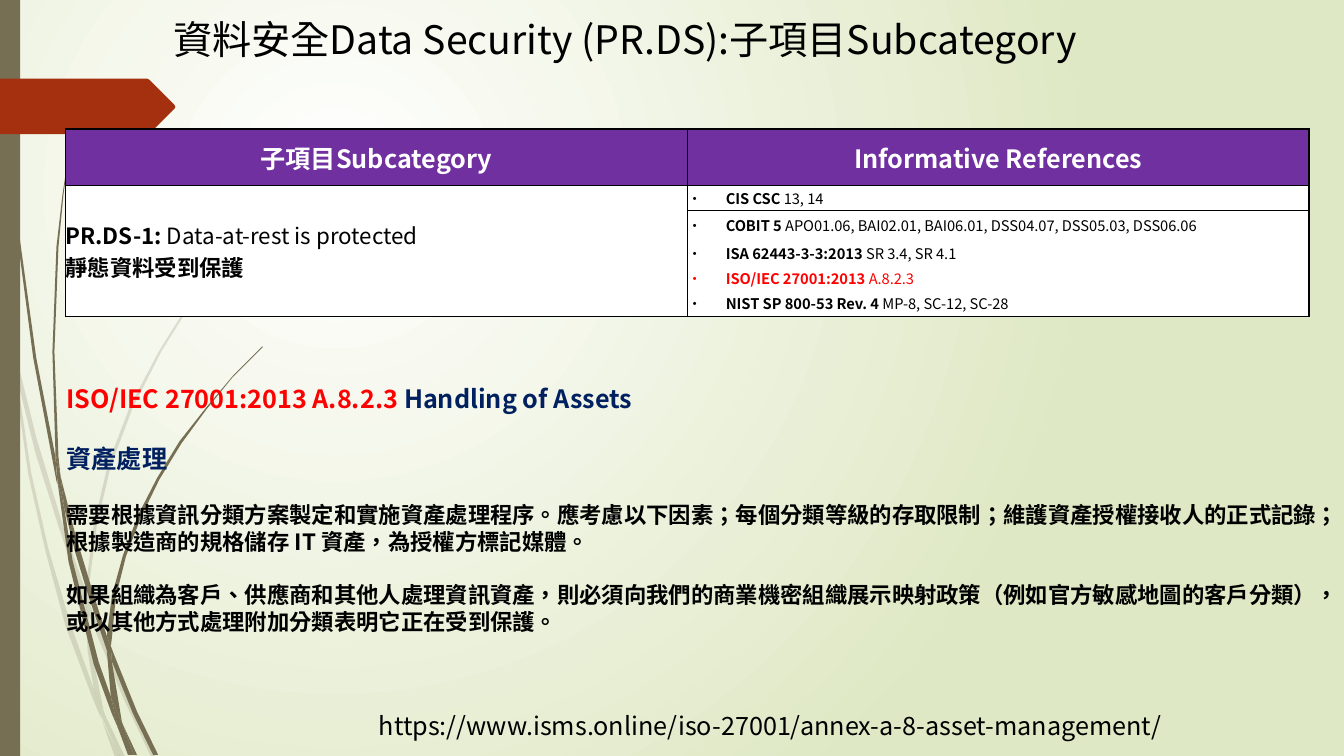
"""Build the Data Security (PR.DS) subcategory slide."""
from lxml.etree import SubElement
from pptx import Presentation
from pptx.dml.color import RGBColor
from pptx.enum.shapes import MSO_SHAPE
from pptx.enum.text import MSO_ANCHOR, MSO_AUTO_SIZE, PP_ALIGN
from pptx.oxml import parse_xml
from pptx.oxml.ns import nsdecls, qn
from pptx.util import Cm, Pt

FONT = "Noto Sans CJK SC"
PLAIN_TABLE_STYLE = "{2D5ABB26-0587-4C30-8999-92F81FD0307C}"
BLACK = RGBColor(0x00, 0x00, 0x00)
WHITE = RGBColor(0xFF, 0xFF, 0xFF)
RED = RGBColor(0xFF, 0x00, 0x00)
NAVY = RGBColor(0x00, 0x20, 0x60)
PURPLE = RGBColor(0x70, 0x30, 0xA0)
RUST = RGBColor(0xA5, 0x30, 0x10)
OLIVE = RGBColor(0x76, 0x6F, 0x54)
PALE_GREEN = RGBColor(0xDF, 0xE8, 0xC4)

OUTLINE_UNIT = Cm(0.0254)
PALE_STALKS = [
    [(11, 350), (9, 322), (0, 282), (0, 299), (10, 344)],
    [(58, 522), (84, 599), (85, 586), (62, 520), (36, 434), (14, 345), (17, 376), (35, 449)],
    [(92, 607), (88, 596), (88, 610), (123, 694), (150, 751), (155, 751), (127, 692)],
    [(119, 751), (124, 751), (105, 711)],
    [(93, 683), (70, 619), (48, 544), (31, 469), (17, 376), (11, 350), (28, 470), (45, 546),
     (65, 621), (92, 693), (101, 714), (99, 707)],
    [(84, 599), (87, 646), (93, 683), (96, 692), (105, 711), (103, 706), (91, 646), (88, 608)],
    [(88, 584), (96, 522), (110, 462), (132, 404), (160, 349), (193, 296), (229, 245), (268, 198),
     (312, 154), (312, 153), (268, 197), (228, 244), (191, 295), (158, 348), (129, 403), (107, 461),
     (93, 521), (85, 584), (85, 586), (88, 596)],
    [(101, 714), (114, 751), (119, 751)],
    [(88, 608), (88, 596), (85, 586), (84, 599)],
    [(96, 692), (93, 683), (99, 707), (119, 751), (105, 711)],
]
DARK_STALKS = [
    [(7, 110), (17, 233), (33, 355), (56, 477), (57, 481), (55, 453), (36, 355), (19, 232),
     (8, 109), (4, 0), (3, 0), (4, 48)],
    [(88, 592), (106, 645), (106, 631), (93, 590), (75, 531), (60, 472), (64, 505), (75, 549)],
    [(113, 649), (110, 641), (111, 656), (132, 708), (152, 749), (157, 749), (136, 706)],
    [(110, 691), (98, 657), (72, 556), (64, 505), (57, 477), (68, 557), (93, 659), (111, 708),
     (117, 722), (116, 717)],
    [(60, 472), (58, 453), (54, 349), (58, 245), (63, 193), (70, 141), (62, 193), (56, 245),
     (52, 349), (55, 449)],
    [(133, 749), (136, 749), (122, 719)],
    [(57, 477), (64, 505), (60, 472), (55, 449), (55, 453)],
    [(111, 633), (115, 592), (125, 552), (140, 513), (158, 476), (180, 440), (205, 406), (231, 374),
     (261, 344), (260, 344), (231, 373), (204, 405), (178, 438), (156, 474), (137, 511), (122, 551),
     (111, 591), (106, 631), (110, 641)],
    [(117, 722), (127, 749), (131, 749)],
    [(106, 645), (110, 691), (116, 706), (122, 719), (121, 716), (111, 656)],
    [(106, 645), (111, 656), (110, 641), (106, 631)],
    [(116, 706), (110, 691), (117, 722), (130, 749), (133, 749), (122, 719)],
]
ARROW = [(0, 78), (146, 78), (148, 79), (173, 104), (174, 106), (173, 108), (148, 133), (0, 133)]

ROW_HEIGHTS = [1.42, 0.64, 0.74, 0.64, 0.64, 0.64]
REFERENCES = [
    ("CIS CSC ", "13, 14", BLACK),
    ("COBIT 5", " APO01.06, BAI02.01, BAI06.01, DSS04.07, DSS05.03, DSS06.06", BLACK),
    ("ISA 62443-3-3:2013", " SR 3.4, SR 4.1", BLACK),
    ("ISO/IEC 27001:2013 ", "A.8.2.3", RED),
    ("NIST SP 800-53 Rev. 4", " MP-8, SC-12, SC-28", BLACK),
]
ASSET_NOTES = [
    (0, [("ISO/IEC 27001:2013 A.8.2.3 ", 18, True, RED), ("Handling of Assets", 18, True, NAVY)]),
    (21.6, [("資產處理", 18, True, NAVY)]),
    (19.2, [("需要根據資訊分類方案製定和實施資產處理程序。應考慮以下因素；每個分類等級的存取限制；"
             "維護資產授權接收人的正式記錄；根據製造商的規格儲存 IT 資產，為授權方標記媒體。",
             16, True, BLACK)]),
    (19.2, [("如果組織為客戶、供應商和其他人處理資訊資產，則必須向我們的商業機密組織展示映射政策"
             "（例如官方敏感地圖的客戶分類），或以其他方式處理附加分類表明它正在受到保護。",
             16, True, BLACK)]),
]


def apply_format(target, values):
    """Set each named attribute on the target."""
    for name, value in values.items():
        setattr(target, name, value)


def add_span(para, text, size, bold, color):
    """Add one formatted run to a paragraph."""
    span = para.add_run()
    span.text = text
    apply_format(span.font, {"size": Pt(size), "bold": bold, "name": FONT})
    span.font.color.rgb = color
    span.font._element.set("lang", "zh-TW")
    SubElement(span.font._element, qn("a:ea")).set("typeface", FONT)


def set_bullet(para, margin=0, indent=0, character=None):
    """Give a paragraph its indents and a bullet, or none."""
    properties = para._p.get_or_add_pPr()
    properties.set("marL", str(Cm(margin)))
    properties.set("indent", str(Cm(indent)))
    if character:
        SubElement(properties, qn("a:buFont")).set("typeface", FONT)
        SubElement(properties, qn("a:buChar")).set("char", character)
    else:
        SubElement(properties, qn("a:buNone"))


def fill_box(box, place, paragraphs):
    """Move a text shape into place and write its paragraphs."""
    apply_format(box, dict(zip(("left", "top", "width", "height"), map(Cm, place))))
    frame = box.text_frame
    apply_format(frame, {"word_wrap": True, "auto_size": MSO_AUTO_SIZE.NONE,
                         "vertical_anchor": MSO_ANCHOR.TOP})
    for index, (gap, spans) in enumerate(paragraphs):
        para = frame.add_paragraph() if index else frame.paragraphs[0]
        set_bullet(para)
        apply_format(para, {"alignment": PP_ALIGN.LEFT, "space_before": Pt(gap)})
        for span in spans:
            add_span(para, *span)


def paint(shape, color, opacity=100):
    """Fill a shape without line or shadow."""
    shape.shadow.inherit = False
    shape.line.fill.background()
    shape.fill.solid()
    shape.fill.fore_color.rgb = color
    if opacity < 100:
        tint = next(shape.element.iter(qn("a:srgbClr")))
        SubElement(tint, qn("a:alpha")).set("val", str(opacity * 1000))


def add_outline(page, points, color, opacity=100):
    """Draw a closed outline given in hundredths of an inch."""
    builder = page.shapes.build_freeform(*points[0], scale=OUTLINE_UNIT)
    builder.add_line_segments(points[1:], close=True)
    paint(builder.convert_to_shape(), color, opacity)


def paint_background(page):
    """Lay a round white to green gradient behind the page."""
    fill = page.background.fill
    fill.gradient()
    for stop, color, position in zip(fill.gradient_stops, (WHITE, PALE_GREEN), (0, 1)):
        stop.color.rgb = color
        stop.position = position
    linear = next(page.background._cSld.iter(qn("a:lin")))
    linear.getparent().replace(linear, parse_xml(
        f'<a:path {nsdecls("a")} path="circle"><a:fillToRect l="50000" t="50000" '
        'r="100000" b="100000"/></a:path>'))


def add_decoration(page):
    """Draw the grass stalks, the side bar and the arrow."""
    for stalks, opacity in ((PALE_STALKS, 20), (DARK_STALKS, 100)):
        for points in stalks:
            add_outline(page, points, OLIVE, opacity)
    paint(page.shapes.add_shape(MSO_SHAPE.RECTANGLE, 0, 0, Cm(0.51), Cm(19.05)), OLIVE)
    add_outline(page, ARROW, RUST)


def format_cell(cell, color, sides, margin=0):
    """Set the fill, margins and black borders of a table cell."""
    apply_format(cell, {"vertical_anchor": MSO_ANCHOR.MIDDLE, "margin_left": Cm(margin),
                        "margin_right": Cm(margin), "margin_top": Cm(margin), "margin_bottom": 0})
    cell.fill.solid()
    cell.fill.fore_color.rgb = color
    for index, side in enumerate(sides):
        cell._tc.get_or_add_tcPr().insert(index, parse_xml(
            f'<a:ln{side} {nsdecls("a")} w="12700"><a:solidFill><a:srgbClr '
            f'val="{BLACK}"/></a:solidFill></a:ln{side}>'))


def add_reference_table(page):
    """Add the table of the subcategory and its references."""
    last = len(REFERENCES)
    table = page.shapes.add_table(last + 1, 2, Cm(1.65), Cm(3.25), Cm(31.34), Cm(4.72)).table
    next(table._tbl.iter(qn("a:tableStyleId"))).text = PLAIN_TABLE_STYLE
    for row, height in zip(table.rows, ROW_HEIGHTS):
        row.height = Cm(height)
    for column, heading in enumerate(("子項目Subcategory", "Informative References")):
        para = table.cell(0, column).text_frame.paragraphs[0]
        para.alignment = PP_ALIGN.CENTER
        add_span(para, heading, 18, True, WHITE)
        format_cell(table.cell(0, column), PURPLE, "LRTB", 0.03)
    for row, (standard, clauses, color) in enumerate(REFERENCES, 1):
        cell = table.cell(row, 1)
        para = cell.text_frame.paragraphs[0]
        set_bullet(para, 0.97, -0.97, "·")
        add_span(para, standard, 10.5, True, color)
        add_span(para, clauses, 10.5, False, color)
        format_cell(cell, WHITE, "LR" + "T" * (row == 1) + "B" * (row == last))
        format_cell(table.cell(row, 0), WHITE, "LRTB")
    subcategory = table.cell(1, 0)
    subcategory.merge(table.cell(last, 0))
    para = subcategory.text_frame.paragraphs[0]
    add_span(para, "PR.DS-1: ", 16, True, BLACK)
    add_span(para, "Data-at-rest is protected", 16, False, BLACK)
    add_span(subcategory.text_frame.add_paragraph(), "靜態資料受到保護", 16, True, BLACK)


def main():
    """Build and save the deck."""
    deck = Presentation()
    apply_format(deck, {"slide_width": Cm(33.87), "slide_height": Cm(19.05)})
    page = deck.slides.add_slide(deck.slide_layouts[1])
    title, body = page.placeholders
    paint_background(page)
    add_decoration(page)
    for box in (title, body):
        box.element.getparent().append(box.element)
    fill_box(title, (4.11, 0.25, 26.85, 1.45),
             [(0, [("資料安全Data Security (PR.DS):子項目Subcategory", 28, False, BLACK)])])
    fill_box(body, (1.42, 9.53, 32.26, 6.68), ASSET_NOTES)
    link = page.shapes.add_textbox(0, 0, Cm(1), Cm(1))
    fill_box(link, (9.3, 17.78, 23.7, 1.02), [
        (0, [("https://www.isms.online/iso-27001/annex-a-8-asset-management/", 18, False, BLACK)])])
    add_reference_table(page)
    deck.save("out.pptx")


if __name__ == "__main__":
    main()
